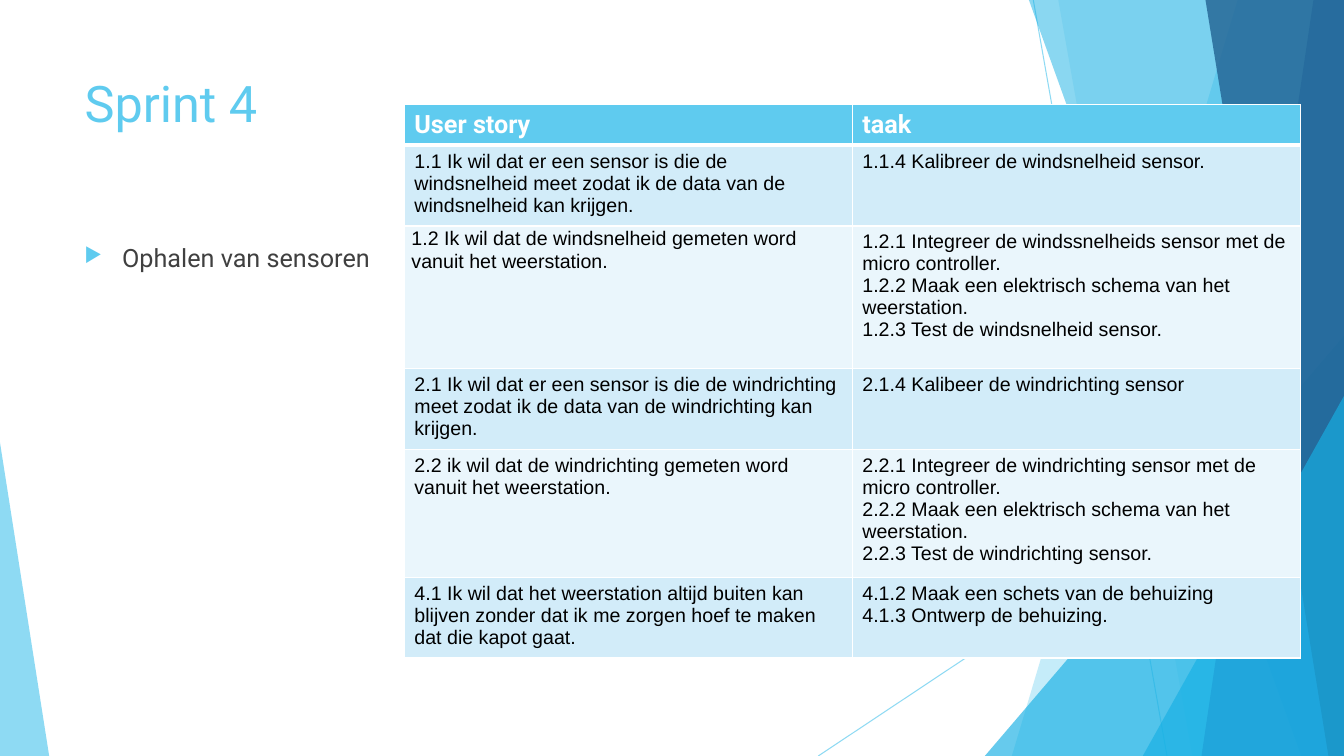
from dataclasses import dataclass

from lxml import etree
from pptx import Presentation
from pptx import util as u
from pptx.dml.color import RGBColor
from pptx.enum import shapes, text
from pptx.oxml import parse_xml
from pptx.oxml.ns import nsdecls, qn


@dataclass(frozen=True)
class Theme:
    sky: str = "5FCBEF"
    cyan: str = "17B0E4"
    blue: str = "2E83C3"
    navy: str = "226292"
    white: str = "FFFFFF"
    black: str = "000000"
    grey: str = "404040"
    bands: tuple = ("D2ECF9", "EAF6FC")
    heading_font: str = "Roboto"
    cell_font: str = "Arial"
    title_size: int = 36
    body_size: int = 18
    cell_size: int = 14


THEME = Theme()
WIDTH, HEIGHT = 33.87, 19.05

HEADERS = ("User story", "taak")
STORIES = [
    ("1.1 Ik wil dat er een sensor is die de windsnelheid meet zodat ik de data van de "
     "windsnelheid kan krijgen.",
     "1.1.4 Kalibreer de windsnelheid sensor."),
    ("1.2 Ik wil dat de windsnelheid gemeten word vanuit het weerstation.",
     "1.2.1 Integreer de windssnelheids sensor met de micro controller.\n"
     "1.2.2 Maak een elektrisch schema van het weerstation.\n"
     "1.2.3 Test de windsnelheid sensor."),
    ("2.1 Ik wil dat er een sensor is die de windrichting meet zodat ik de data van de "
     "windrichting kan krijgen.",
     "2.1.4 Kalibeer de windrichting sensor"),
    ("2.2 ik wil dat de windrichting gemeten word vanuit het weerstation.",
     "2.2.1 Integreer de windrichting sensor met de micro controller.\n"
     "2.2.2 Maak een elektrisch schema van het weerstation.\n"
     "2.2.3 Test de windrichting sensor."),
    ("4.1 Ik wil dat het weerstation altijd buiten kan blijven zonder dat ik me zorgen "
     "hoef te maken dat die kapot gaat.",
     "4.1.2 Maak een schets van de behuizing\n4.1.3 Ontwerp de behuizing."),
]
ROW_HEIGHTS = (1.02, 1.92, 3.6, 1.92, 3.03, 1.92)


def format_text(frame, font, size, color, bold=False):
    for para in frame.paragraphs:
        for span in para.runs:
            span.font.name = font
            span.font.size = u.Pt(size)
            span.font.bold = bold
            span.font.color.rgb = RGBColor.from_string(color)


def set_alpha(fill_parent, percent):
    color = fill_parent.find(".//" + qn("a:srgbClr"))
    etree.SubElement(color, qn("a:alpha"), val=str(percent * 1000))


def paint(shape, color, percent):
    shape.shadow.inherit = False
    shape.fill.solid()
    shape.fill.fore_color.rgb = RGBColor.from_string(color)
    set_alpha(shape._element.spPr, percent)
    shape.line.fill.background()


def add_thin_line(page, x1, y1, x2, y2):
    line = page.shapes.add_connector(
        shapes.MSO_CONNECTOR.STRAIGHT, u.Cm(x1), u.Cm(y1), u.Cm(x2), u.Cm(y2))
    line.line.width = u.Pt(0.75)
    line.line.color.rgb = RGBColor.from_string(THEME.sky)
    properties = line._element.spPr
    set_alpha(properties, 70)
    etree.SubElement(properties, qn("a:effectLst"))


def add_right_band(page, top_x, bottom_x, color, percent):
    """A full-height band from a slanted left side to the right slide edge."""
    builder = page.shapes.build_freeform(u.Cm(top_x), 0)
    corners = [(WIDTH, 0), (WIDTH, HEIGHT), (bottom_x, HEIGHT)]
    builder.add_line_segments([(u.Cm(x), u.Cm(y)) for x, y in corners])
    paint(builder.convert_to_shape(), color, percent)


def add_corner(page, left, top, width, apex, color, percent):
    """A triangle that stands on the bottom slide edge."""
    corner = page.shapes.add_shape(
        shapes.MSO_SHAPE.ISOSCELES_TRIANGLE,
        u.Cm(left), u.Cm(top), u.Cm(width), u.Cm(HEIGHT - top))
    corner.adjustments[0] = apex
    paint(corner, color, percent)


def add_backdrop(page):
    add_thin_line(page, 26.04, 0, 29.41, HEIGHT)
    add_thin_line(page, WIDTH, 10.24, 20.62, HEIGHT)
    add_right_band(page, 31.19, 25.5, THEME.sky, 36)
    add_right_band(page, 26.67, 30.05, THEME.sky, 20)
    add_corner(page, 24.82, 8.46, 9.05, 1, THEME.cyan, 66)
    add_right_band(page, 25.93, 32.79, THEME.cyan, 50)
    add_right_band(page, 33.1, 30.28, THEME.blue, 70)
    add_right_band(page, 30.38, 33.48, THEME.navy, 80)
    add_corner(page, 28.8, 9.98, 5.07, 1, THEME.cyan, 66)
    add_corner(page, 0, 11.15, 1.24, 0, THEME.sky, 70)


def set_title(page, wording):
    title = page.shapes.title
    title.left, title.top = u.Cm(1.88), u.Cm(1.7)
    title.width, title.height = u.Cm(23.88), u.Cm(3.66)
    frame = title.text_frame
    frame.text = wording
    frame.vertical_anchor = text.MSO_ANCHOR.TOP
    frame.paragraphs[0].alignment = text.PP_ALIGN.LEFT
    format_text(frame, THEME.heading_font, THEME.title_size, THEME.sky)
    page.shapes._spTree.append(title._element)  # in front of the backdrop


def add_bullet(page, wording):
    box = page.shapes.add_textbox(u.Cm(1.88), u.Cm(5.99), u.Cm(23.88), u.Cm(10.77))
    frame = box.text_frame
    frame.word_wrap = True
    frame.text = wording
    para = frame.paragraphs[0]
    para.space_before = u.Pt(10)
    format_text(frame, THEME.heading_font, THEME.body_size, THEME.grey)
    properties = para._p.get_or_add_pPr()
    properties.set("marL", str(u.Cm(0.95)))
    properties.set("indent", str(u.Cm(-0.95)))
    color = etree.SubElement(properties, qn("a:buClr"))
    etree.SubElement(color, qn("a:srgbClr"), val=THEME.sky)
    etree.SubElement(properties, qn("a:buSzPct"), val="80000")
    etree.SubElement(properties, qn("a:buChar"), char="▶")


def set_borders(cell, top, bottom):
    properties = cell._tc.get_or_add_tcPr()
    sides = (("lnL", 1), ("lnR", 1), ("lnT", top), ("lnB", bottom))
    for place, (side, points) in enumerate(sides):
        properties.insert(place, parse_xml(
            f'<a:{side} {nsdecls("a")} w="{u.Pt(points)}"><a:solidFill>'
            f'<a:srgbClr val="{THEME.white}"/></a:solidFill></a:{side}>'))


def fill_cell(cell, wording, color):
    cell.text_frame.text = wording
    cell.fill.solid()
    cell.fill.fore_color.rgb = RGBColor.from_string(color)


def add_story_table(page):
    table = page.shapes.add_table(
        len(ROW_HEIGHTS), len(HEADERS), u.Cm(10.19), u.Cm(2.64),
        u.Cm(22.58), u.Cm(sum(ROW_HEIGHTS))).table
    for row, height in zip(table.rows, ROW_HEIGHTS):
        row.height = u.Cm(height)
    for column, wording in enumerate(HEADERS):
        cell = table.cell(0, column)
        fill_cell(cell, wording, THEME.sky)
        format_text(cell.text_frame, THEME.heading_font, THEME.body_size, THEME.white, True)
        set_borders(cell, 1, 3)
    for index, story in enumerate(STORIES):
        for column, wording in enumerate(story):
            cell = table.cell(index + 1, column)
            fill_cell(cell, wording, THEME.bands[index % 2])
            format_text(cell.text_frame, THEME.cell_font, THEME.cell_size, THEME.black)
            set_borders(cell, 3 if index == 0 else 1, 1)
    # Story 1.2 has tighter margins and looser lines
    loose = table.cell(2, 0)
    loose.margin_left = loose.margin_right = u.Cm(0.18)
    loose.margin_top = loose.margin_bottom = 0
    para = loose.text_frame.paragraphs[0]
    para.line_spacing = 1.07
    para.space_after = u.Pt(8)


def main():
    deck = Presentation()
    deck.slide_width, deck.slide_height = u.Cm(WIDTH), u.Cm(HEIGHT)
    page = deck.slides.add_slide(deck.slide_layouts[5])
    add_backdrop(page)
    set_title(page, "Sprint 4")
    add_bullet(page, "Ophalen van sensoren")
    add_story_table(page)
    deck.save("out.pptx")


if __name__ == "__main__":
    main()
